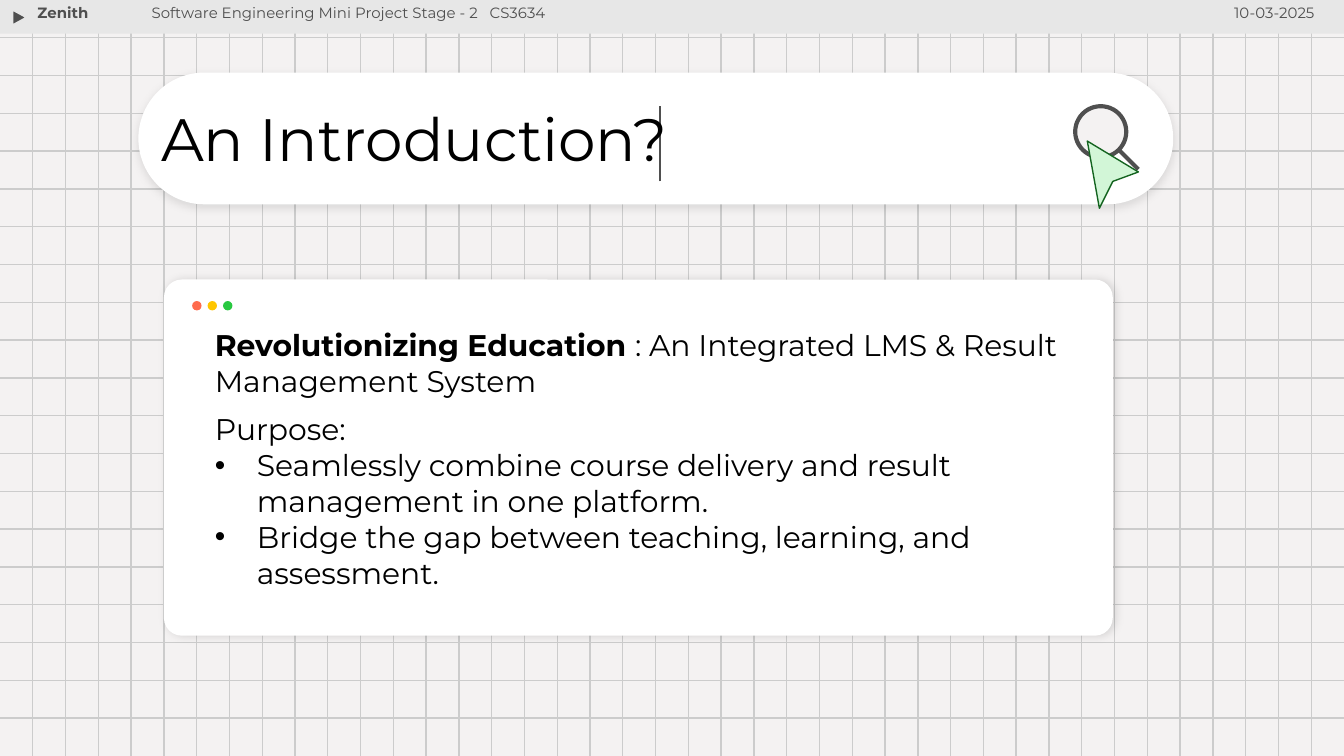
from dataclasses import dataclass

import pptx
import pptx.dml.color
import pptx.enum.shapes
import pptx.enum.text
import pptx.oxml
import pptx.oxml.ns
import pptx.util
from lxml import etree

RGBColor = pptx.dml.color.RGBColor
Preset = pptx.enum.shapes.MSO_SHAPE
Align = pptx.enum.text.PP_ALIGN

PAPER = RGBColor(0xF4, 0xF2, 0xF2)
GRID_GRAY = RGBColor(0xCC, 0xCC, 0xCC)
BAR_GRAY = RGBColor(0xE7, 0xE7, 0xE7)
INK = RGBColor(0x4F, 0x4F, 0x4F)
BLACK = RGBColor(0, 0, 0)
WHITE = RGBColor(0xFF, 0xFF, 0xFF)
RED = RGBColor(0xFF, 0x6B, 0x4D)
YELLOW = RGBColor(0xFF, 0xC6, 0x00)
GREEN = RGBColor(0x28, 0xC8, 0x40)
MINT = RGBColor(0xD2, 0xF6, 0xD7)
DARK_GREEN = RGBColor(0x14, 0x64, 0x20)

FONT = "Montserrat"
SLIDE_WIDTH = pptx.util.Inches(10)
SLIDE_HEIGHT = pptx.util.Inches(5.625)
GRID_COLUMNS, GRID_ROWS = 41, 20


def share(percent: float) -> pptx.util.Emu:
    """Length as a percentage of the slide width, used on both axes."""
    return pptx.util.Emu(round(SLIDE_WIDTH * percent / 100))


@dataclass(frozen=True)
class Box:
    left: float
    top: float
    width: float
    height: float

    def lengths(self) -> list[pptx.util.Emu]:
        return [share(n) for n in (self.left, self.top, self.width, self.height)]


@dataclass(frozen=True)
class Stroke:
    color: RGBColor
    points: float = 0.75


@dataclass(frozen=True)
class Shadow:
    opacity: int
    direction: int
    blur: float = 4.5
    distance: float = 1.5


@dataclass(frozen=True)
class Paragraph:
    text: str
    bold_lead: str = ""
    bullet: bool = False


@dataclass(frozen=True)
class TextStyle:
    size: float
    color: RGBColor = BLACK
    bold: bool = False
    align: Align = Align.LEFT
    line_spacing: float = 1.0


def paint(shape, fill: RGBColor, stroke: Stroke | None = None) -> None:
    shape.shadow.inherit = False
    shape.fill.solid()
    shape.fill.fore_color.rgb = fill
    if stroke:
        shape.line.color.rgb = stroke.color
        shape.line.width = pptx.util.Pt(stroke.points)
    else:
        shape.line.fill.background()


def cast_shadow(shape, shadow: Shadow) -> None:
    effects = shape._element.spPr.find(pptx.oxml.ns.qn("a:effectLst"))
    effects.append(pptx.oxml.parse_xml(
        f'<a:outerShdw {pptx.oxml.ns.nsdecls("a")} blurRad="{pptx.util.Pt(shadow.blur)}" '
        f'dist="{pptx.util.Pt(shadow.distance)}" dir="{shadow.direction * 60000}" '
        f'algn="bl" rotWithShape="0"><a:srgbClr val="{BLACK}">'
        f'<a:alpha val="{shadow.opacity * 1000}"/></a:srgbClr></a:outerShdw>'))


def add_preset(slide, preset: Preset, box: Box, fill: RGBColor,
               stroke: Stroke | None = None, corner: float | None = None):
    shape = slide.shapes.add_shape(preset, *box.lengths())
    paint(shape, fill, stroke)
    if corner is not None:
        shape.adjustments[0] = corner
    return shape


def add_line(slide, start: tuple[int, int], end: tuple[int, int], stroke: Stroke) -> None:
    line = slide.shapes.add_connector(
        pptx.enum.shapes.MSO_CONNECTOR.STRAIGHT, *start, *end)
    line.line.color.rgb = stroke.color
    line.line.width = pptx.util.Pt(stroke.points)
    etree.SubElement(line._element.spPr, pptx.oxml.ns.qn("a:effectLst"))


def add_bullet(paragraph) -> None:
    properties = paragraph._p.get_or_add_pPr()
    indent = share(3.13)
    properties.set("marL", str(indent))
    properties.set("indent", str(-indent))
    color = etree.SubElement(properties, pptx.oxml.ns.qn("a:buClr"))
    etree.SubElement(color, pptx.oxml.ns.qn("a:srgbClr"), val=str(BLACK))
    etree.SubElement(properties, pptx.oxml.ns.qn("a:buFont"), typeface="Arial")
    etree.SubElement(properties, pptx.oxml.ns.qn("a:buChar"), char="•")


def add_text(slide, box: Box, paragraphs: list[Paragraph], style: TextStyle) -> None:
    frame = slide.shapes.add_textbox(*box.lengths()).text_frame
    frame.word_wrap = True
    frame.margin_left = frame.margin_right = share(1)
    # The header and title hold a wide margin; the window text a narrow one.
    frame.margin_top = frame.margin_bottom = share(0.5 if style.size == 16 else 1)
    for index, content in enumerate(paragraphs):
        paragraph = frame.add_paragraph() if index else frame.paragraphs[0]
        if content.bullet:
            add_bullet(paragraph)
        paragraph.alignment = style.align
        paragraph.line_spacing = style.line_spacing
        paragraph.font.name = FONT
        paragraph.font.size = pptx.util.Pt(style.size)
        paragraph.font.color.rgb = style.color
        paragraph.font.bold = style.bold
        if content.bold_lead:
            lead = paragraph.add_run()
            lead.text = content.bold_lead
            lead.font.bold = True
        paragraph.add_run().text = content.text


def draw_grid(slide) -> None:
    stroke = Stroke(GRID_GRAY)
    for row in range(1, GRID_ROWS):
        y = SLIDE_HEIGHT * row // GRID_ROWS
        add_line(slide, (0, y), (SLIDE_WIDTH, y), stroke)
    for column in range(1, GRID_COLUMNS):
        x = SLIDE_WIDTH * column // GRID_COLUMNS
        add_line(slide, (x, 0), (x, SLIDE_HEIGHT), stroke)


def draw_header(slide) -> None:
    add_preset(slide, Preset.RECTANGLE, Box(0, 0, 100, 2.5), BAR_GRAY)
    play = add_preset(slide, Preset.ISOSCELES_TRIANGLE, Box(0.9, 0.8, 1.1, 1),
                      INK, Stroke(BAR_GRAY))
    play.rotation = 90
    small = TextStyle(8, INK)
    add_text(slide, Box(86.3, -0.4, 12.5, 3.4), [Paragraph("10-03-2025")],
             TextStyle(8, INK, align=Align.RIGHT))
    add_text(slide, Box(1.8, -0.4, 12.8, 3.7), [Paragraph("Zenith")],
             TextStyle(8, INK, bold=True))
    add_text(slide, Box(10.3, -0.4, 41.7, 3.4),
             [Paragraph("Software Engineering Mini Project Stage - 2\u00a0\u00a0 CS3634".replace("\u00a0", " "))],
             small)


def draw_search_bar(slide) -> None:
    bar = add_preset(slide, Preset.ROUNDED_RECTANGLE, Box(10.3, 5.4, 77, 9.8),
                     WHITE, corner=0.5)
    cast_shadow(bar, Shadow(opacity=10, direction=90))
    lens = Stroke(INK, 2.25)
    add_preset(slide, Preset.OVAL, Box(80, 7.9, 3.8, 3.8), PAPER, lens)
    add_line(slide, (share(83.2), share(11.1)), (share(84.7), share(12.6)), lens)
    add_line(slide, (share(49.1), share(13.5)), (share(49.1), share(7.9)), Stroke(INK))
    add_text(slide, Box(11, 7.2, 41.7, 6.9), [Paragraph("An Introduction?")],
             TextStyle(32, line_spacing=0.9))
    tip, *outline = [(share(x), share(y)) for x, y in
                     ((80.9, 10.5), (81.8, 15.5), (82.8, 13.5), (84.7, 12.8))]
    pointer = slide.shapes.build_freeform(*tip)
    pointer.add_line_segments(outline, close=True)
    paint(pointer.convert_to_shape(), MINT, Stroke(DARK_GREEN))


def draw_window(slide) -> None:
    window = add_preset(slide, Preset.ROUNDED_RECTANGLE, Box(12.2, 20.8, 70.6, 26.5),
                        WHITE, corner=0.05)
    cast_shadow(window, Shadow(opacity=12, direction=0))
    for index, color in enumerate((RED, YELLOW, GREEN)):
        add_preset(slide, Preset.OVAL, Box(14.3 + 1.15 * index, 22.4, 0.7, 0.7), color)
    body = TextStyle(16)
    add_text(slide, Box(15, 23.8, 78.2, 6.4),
             [Paragraph(": An Integrated LMS & Result Management System",
                        bold_lead="Revolutionizing Education ")], body)
    add_text(slide, Box(15, 30.1, 65.5, 14.5), [
        Paragraph("Purpose:"),
        Paragraph("Seamlessly combine course delivery and result management in one platform.",
                  bullet=True),
        Paragraph("Bridge the gap between teaching, learning, and assessment.", bullet=True),
    ], body)


def main() -> None:
    deck = pptx.Presentation()
    deck.slide_width, deck.slide_height = SLIDE_WIDTH, SLIDE_HEIGHT
    slide = deck.slides.add_slide(deck.slide_layouts[6])
    slide.background.fill.solid()
    slide.background.fill.fore_color.rgb = PAPER
    for draw in (draw_grid, draw_header, draw_search_bar, draw_window):
        draw(slide)
    deck.save("out.pptx")


if __name__ == "__main__":
    main()
